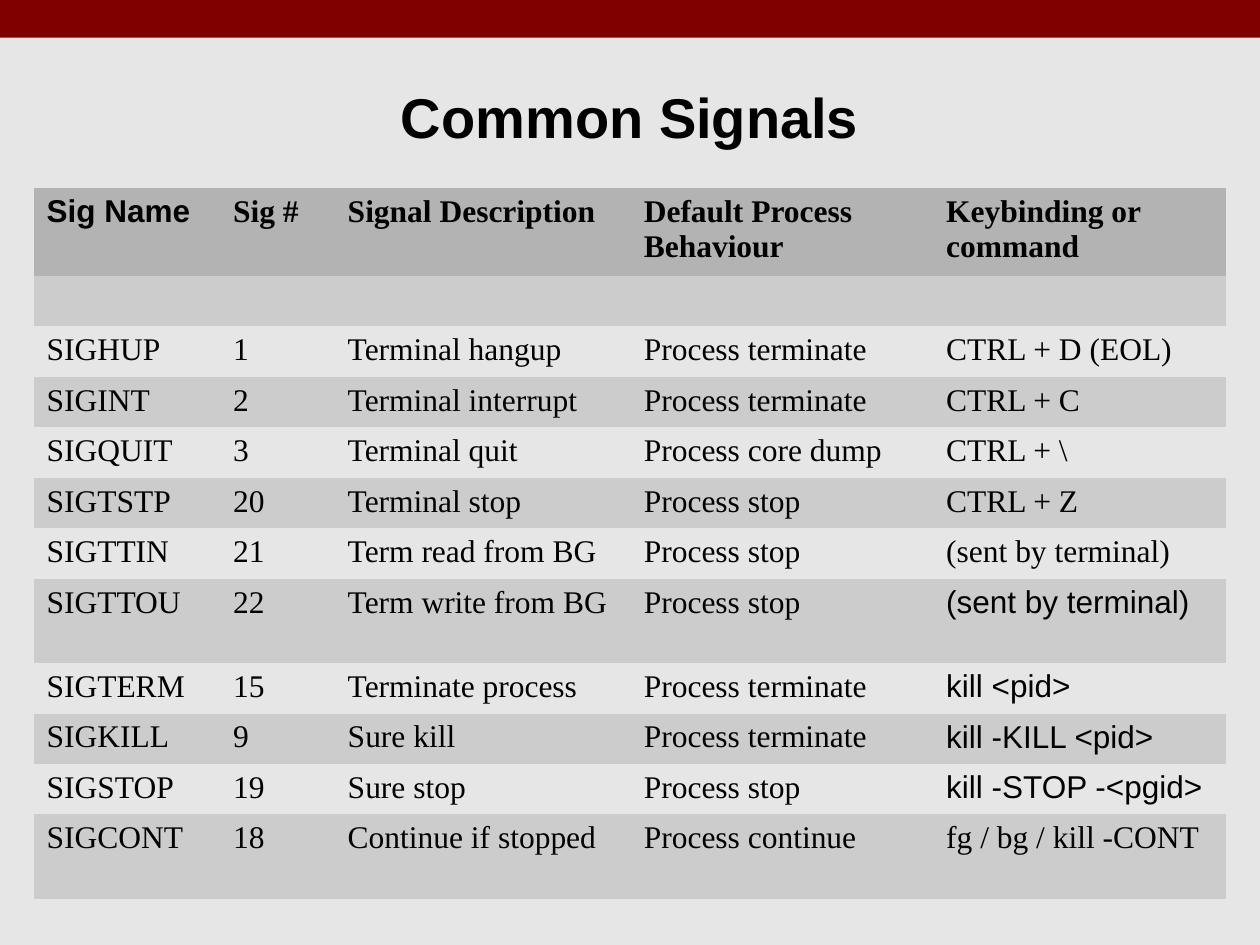
from pptx import Presentation
from pptx.dml.color import RGBColor
from pptx.enum.shapes import MSO_SHAPE
from pptx.enum.text import MSO_ANCHOR, PP_ALIGN
from pptx.util import Inches, Pt

# Content
TITLE = "Common Signals"
ROWS = [
    ("Sig Name", "Sig #", "Signal Description", "Default Process Behaviour", "Keybinding or command"),
    ("", "", "", "", ""),
    ("SIGHUP", "1", "Terminal hangup", "Process terminate", "CTRL + D (EOL)"),
    ("SIGINT", "2", "Terminal interrupt", "Process terminate", "CTRL + C"),
    ("SIGQUIT", "3", "Terminal quit", "Process core dump", "CTRL + \\"),
    ("SIGTSTP", "20", "Terminal stop", "Process stop", "CTRL + Z"),
    ("SIGTTIN", "21", "Term read from BG", "Process stop", "(sent by terminal)"),
    ("SIGTTOU", "22", "Term write from BG", "Process stop", "(sent by terminal)"),
    ("SIGTERM", "15", "Terminate process", "Process terminate", "kill <pid>"),
    ("SIGKILL", "9", "Sure kill", "Process terminate", "kill -KILL <pid>"),
    ("SIGSTOP", "19", "Sure stop", "Process stop", "kill -STOP -<pgid>"),
    ("SIGCONT", "18", "Continue if stopped", "Process continue", "fg / bg / kill -CONT"),
]
ARIAL_CELLS = {(0, 0), (7, 4), (8, 4), (9, 4), (10, 4)}

# Layout
COLUMN_WIDTHS = [1.48, 0.91, 2.35, 2.4, 2.32]
ROW_HEIGHT = 0.4
TALL_ROWS = {0: 0.7, 7: 0.67, 11: 0.67}
HEADER_FILL = "B3B3B3"
BAND_FILLS = ["E6E6E6", "CCCCCC"]
NO_GRID_STYLE = "{2D5ABB26-0587-4C30-8999-92F81FD0307C}"


def paint(fill, color):
    fill.solid()
    fill.fore_color.rgb = RGBColor.from_string(color)


def format_text(para, font_name, size, bold):
    for span in para.runs:
        span.font.name = font_name
        span.font.size = Pt(size)
        span.font.bold = bold
        span.font.color.rgb = RGBColor.from_string("000000")


deck = Presentation()
deck.slide_width, deck.slide_height = Inches(10), Inches(7.5)
page = deck.slides.add_slide(deck.slide_layouts[6])
paint(page.background.fill, "E6E6E6")

# Top bar
bar = page.shapes.add_shape(MSO_SHAPE.RECTANGLE, 0, 0, deck.slide_width, Inches(0.3))
bar.shadow.inherit = False
paint(bar.fill, "800000")
bar.line.fill.background()

# Title
box = page.shapes.add_textbox(Inches(0.5), Inches(0.3), Inches(9), Inches(1.25))
frame = box.text_frame
frame.word_wrap = True
frame.vertical_anchor = MSO_ANCHOR.MIDDLE
frame.margin_left = frame.margin_right = frame.margin_top = frame.margin_bottom = 0
frame.text = TITLE
frame.paragraphs[0].alignment = PP_ALIGN.CENTER
format_text(frame.paragraphs[0], "Arial", 32, True)

# Signal table
heights = [TALL_ROWS.get(index, ROW_HEIGHT) for index in range(len(ROWS))]
table_frame = page.shapes.add_table(
    len(ROWS), len(COLUMN_WIDTHS), Inches(0.27), Inches(1.49),
    Inches(sum(COLUMN_WIDTHS)), Inches(sum(heights)))
table = table_frame.table
table.first_row = table.horz_banding = False
table_frame._element.xpath(".//a:tableStyleId")[0].text = NO_GRID_STYLE

for column, width in zip(table.columns, COLUMN_WIDTHS):
    column.width = Inches(width)
for row_index, (values, height) in enumerate(zip(ROWS, heights)):
    table.rows[row_index].height = Inches(height)
    is_header = row_index == 0
    for column_index, value in enumerate(values):
        cell = table.cell(row_index, column_index)
        paint(cell.fill, HEADER_FILL if is_header else BAND_FILLS[row_index % 2])
        if value:
            cell.text_frame.text = value
            is_arial = (row_index, column_index) in ARIAL_CELLS
            format_text(cell.text_frame.paragraphs[0],
                        "Arial" if is_arial else "Times New Roman", 18, is_header)

deck.save("out.pptx")
